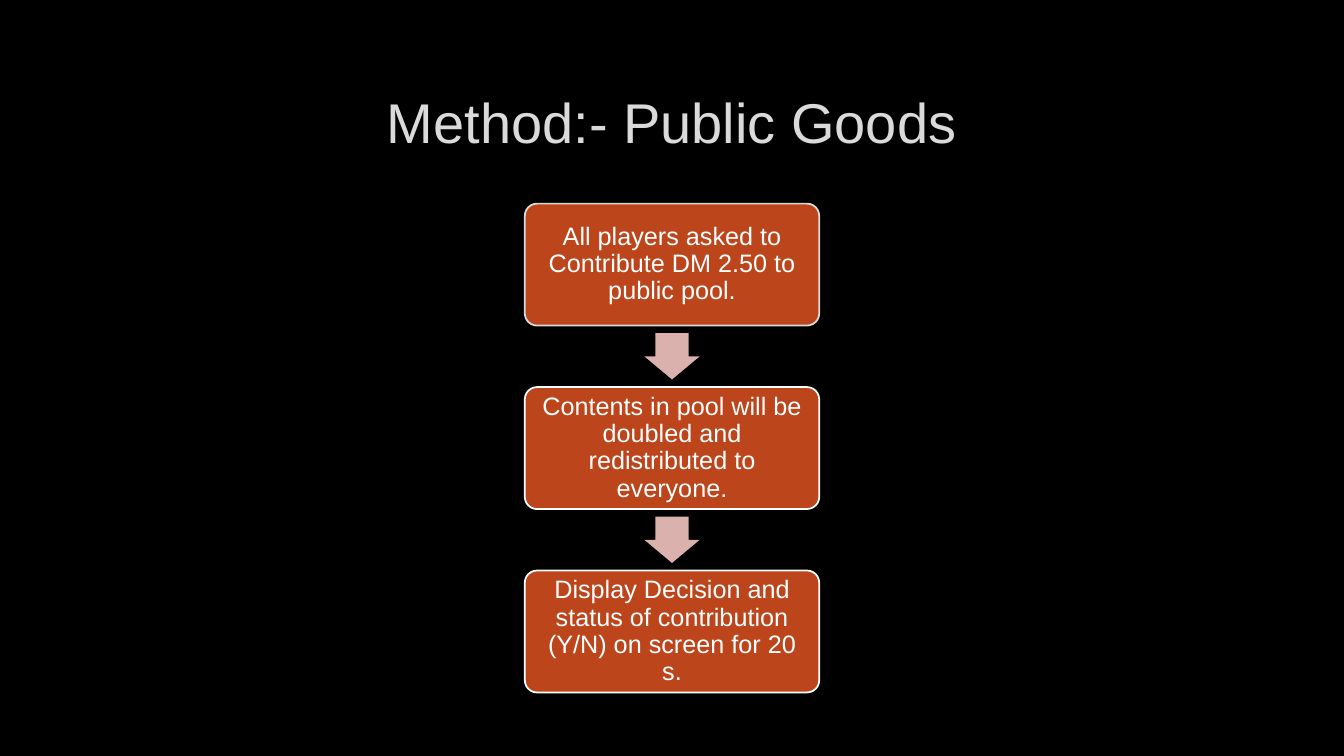
from pptx import Presentation
from pptx.dml.color import RGBColor
from pptx.enum.shapes import MSO_SHAPE
from pptx.enum.text import MSO_ANCHOR, PP_ALIGN
from pptx.util import Inches, Pt

ROUND_BOX = MSO_SHAPE.ROUNDED_RECTANGLE
DOWN_ARROW = MSO_SHAPE.DOWN_ARROW
MIDDLE = MSO_ANCHOR.MIDDLE
CENTER = PP_ALIGN.CENTER

THEME = {
    "font": "Arial",
    "title_size": 40,
    "step_size": 18,
    "background": RGBColor.from_string("000000"),
    "title": RGBColor.from_string("DADADA"),
    "step_text": RGBColor.from_string("FFFFFF"),
    "step_fill": RGBColor.from_string("BC451B"),
    "arrow": RGBColor.from_string("DAB1AC"),
}

SLIDE_W, SLIDE_H = 13.33, 7.5
CENTER_X = SLIDE_W / 2
STEP_W, STEP_H = 2.92, 1.21
ARROW_W, ARROW_H = 0.55, 0.46
FIRST_TOP, PITCH = 2.02, 1.82

STEPS = [
    ("All players asked to Contribute DM 2.50 to public pool.", THEME["title"]),
    ("Contents in pool will be doubled and redistributed to everyone.", THEME["step_text"]),
    ("Display Decision and status of contribution (Y/N) on screen for 20 s.", THEME["step_text"]),
]


def write(sp, text, size, color, inset=0.1, spacing=1.0):
    tf = sp.text_frame
    tf.word_wrap = True
    tf.vertical_anchor = MIDDLE
    tf.margin_left = tf.margin_right = Inches(inset)
    tf.margin_top = tf.margin_bottom = Inches(min(inset, 0.07))
    p = tf.paragraphs[0]
    p.alignment = CENTER
    p.line_spacing = spacing
    r = p.add_run()
    r.text = text
    r.font.name = THEME["font"]
    r.font.size = Pt(size)
    r.font.color.rgb = color


def add_centered(kind, top, width, height, fill):
    sp = s.shapes.add_shape(kind, Inches(CENTER_X - width / 2), Inches(top),
                            Inches(width), Inches(height))
    sp.shadow.inherit = False
    sp.fill.solid()
    sp.fill.fore_color.rgb = fill
    return sp


prs = Presentation()
prs.slide_width = Inches(SLIDE_W)
prs.slide_height = Inches(SLIDE_H)
s = prs.slides.add_slide(prs.slide_layouts[6])
s.background.fill.solid()
s.background.fill.fore_color.rgb = THEME["background"]

title = s.shapes.add_textbox(Inches(1), Inches(0.67), Inches(11.32), Inches(1.06))
write(title, "Method:- Public Goods", THEME["title_size"], THEME["title"])

for i, (text, border) in enumerate(STEPS):
    top = FIRST_TOP + i * PITCH
    step = add_centered(ROUND_BOX, top, STEP_W, STEP_H, THEME["step_fill"])
    step.adjustments[0] = 0.1
    step.line.color.rgb = border
    step.line.width = Pt(1.25)
    write(step, text, THEME["step_size"], THEME["step_text"], inset=0.07, spacing=0.9)

    if i < len(STEPS) - 1:
        arrow_top = top + STEP_H + (PITCH - STEP_H - ARROW_H) / 2
        arrow = add_centered(DOWN_ARROW, arrow_top, ARROW_W, ARROW_H, THEME["arrow"])
        arrow.adjustments[0] = 0.6
        arrow.adjustments[1] = 0.5
        arrow.line.fill.background()

prs.save("out.pptx")
